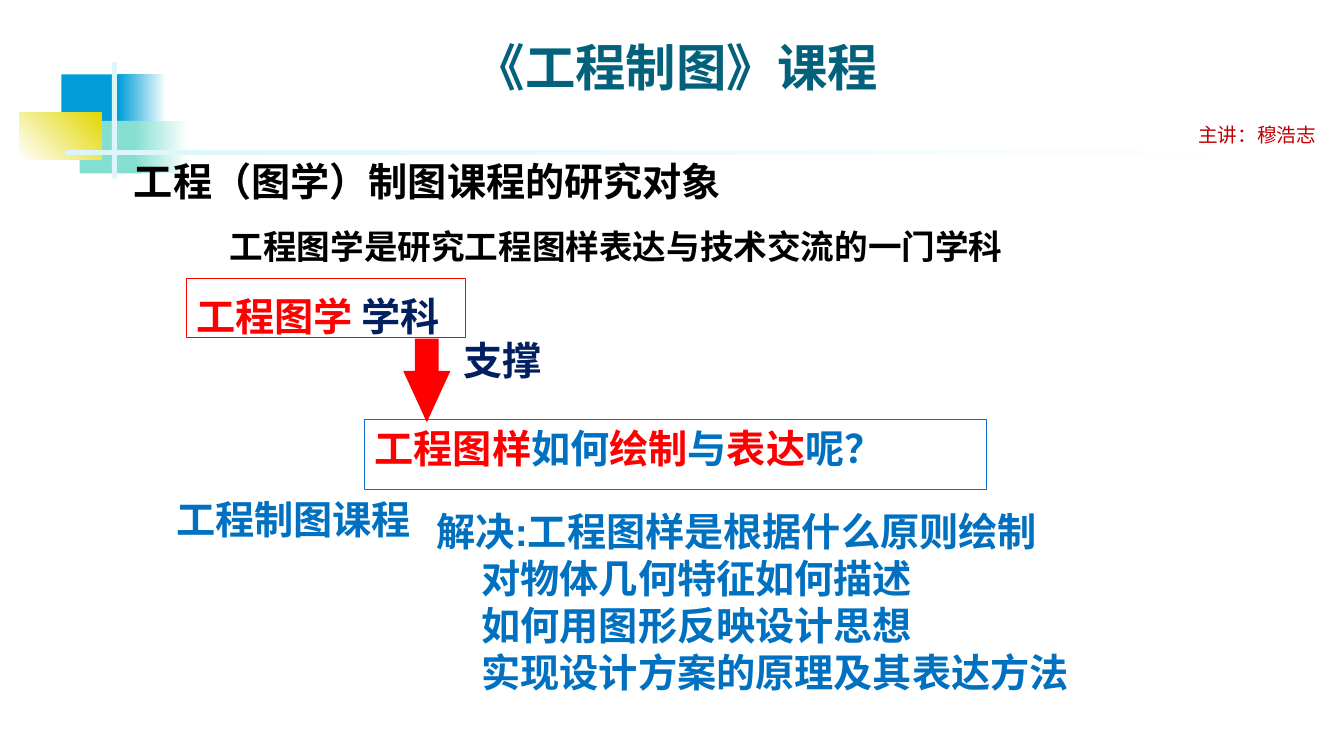
from lxml import etree
from pptx import Presentation
from pptx.dml.color import RGBColor
from pptx.enum.shapes import MSO_SHAPE
from pptx.enum.text import MSO_ANCHOR, PP_ALIGN
from pptx.oxml.ns import qn
from pptx.util import Pt

RECT = MSO_SHAPE.RECTANGLE
DOWN_ARROW = MSO_SHAPE.DOWN_ARROW
TOP, MIDDLE = MSO_ANCHOR.TOP, MSO_ANCHOR.MIDDLE
LEFT, CENTER, JUSTIFY = PP_ALIGN.LEFT, PP_ALIGN.CENTER, PP_ALIGN.JUSTIFY
CJK = "Noto Sans CJK SC"

COLORS = {
    "sky": "009DD9", "mint": "85DFD0", "yellow": "E2D700", "ice": "DBF5F9",
    "white": "FFFFFF", "black": "000000", "teal": "04617B", "crimson": "C00000",
    "red": "FF0000", "blue": "0070C0", "navy": "002060", "edge": "0F6FC6",
}


def rgb(name):
    return RGBColor.from_string(COLORS[name])


def add_shape(s, box, kind=RECT, fill=None, line=None, angle=0):
    sp = s.shapes.add_shape(kind, *map(Pt, box))
    sp.shadow.inherit = False
    if fill is None:
        sp.fill.background()
    elif isinstance(fill, tuple):
        sp.fill.gradient()
        sp.fill.gradient_angle = angle
        for stop, color in zip(sp.fill.gradient_stops, fill):
            stop.color.rgb = rgb(color)
    else:
        sp.fill.solid()
        sp.fill.fore_color.rgb = rgb(fill)
    if line:
        sp.line.color.rgb = rgb(line)
        sp.line.width = Pt(0.75)
    else:
        sp.line.fill.background()
    return sp


def write(sp, paragraphs, size=28, font=CJK, bold=True, align=LEFT,
          anchor=TOP, wrap=True, spacing=None, indents=()):
    tf = sp.text_frame
    tf.word_wrap = wrap
    tf.vertical_anchor = anchor
    for i, runs in enumerate(paragraphs):
        p = tf.paragraphs[0] if i == 0 else tf.add_paragraph()
        for key, value in {"alignment": align, "line_spacing": spacing}.items():
            setattr(p, key, value)
        if indents:
            p._p.get_or_add_pPr().set("marL", str(Pt(indents[i])))
        for text, color in runs:
            r = p.add_run()
            r.text = text
            for key, value in {"size": Pt(size), "bold": bold, "name": font}.items():
                setattr(r.font, key, value)
            r.font.color.rgb = rgb(color)
            etree.SubElement(r._r.get_or_add_rPr(), qn("a:ea"), typeface=CJK)


def add_text(s, box, paragraphs, **fmt):
    write(s.shapes.add_textbox(*map(Pt, box)), paragraphs, **fmt)


def add_ornament(s, x, y):
    blocks = [
        ((30.2, 8.6, 46, 37.4), "sky", 0),
        ((70.6, 8.6, 34.6, 37.4), ("sky", "white"), 0),
        ((43.2, 41.8, 44.6, 37.4), "mint", 0),
        ((82.1, 41.8, 38.9, 37.4), ("mint", "white"), 0),
        ((0, 36, 59, 33.1), ("white", "yellow"), 45),
        ((66.2, 0, 3.6, 82.8), "ice", 0),
        ((33.1, 62.6, 864, 3.6), ("ice", "white"), 0),
    ]
    for (dx, dy, w, h), fill, angle in blocks:
        add_shape(s, (x + dx, y + dy, w, h), fill=fill, angle=angle)


def add_header(s, x, y):
    add_text(s, (x + 582.5, y + 62.6, 105.8, 24.5), [[("主讲：穆浩志", "crimson")]],
             size=14, bold=False)
    add_text(s, (x, y, 433.4, 51.1), [[("《工程制图》课程", "teal")]],
             size=36, align=CENTER, anchor=MIDDLE)


def add_topic(s, x, y):
    add_text(s, (x, y, 527, 41), [[("工程（图学）制图课程的研究对象", "black")]])
    add_text(s, (x + 68.4, y + 49, 635, 36),
             [[("工程图学是研究工程图样表达与技术交流的一门学科", "black")]],
             size=24, font="Times New Roman")


def add_flow(s, x, y):
    add_text(s, (x, y + 151.9, 185.8, 41), [[("工程制图课程", "blue")]], align=JUSTIFY)
    question = add_shape(s, (x + 141.8, y + 100.8, 444.2, 50.4), line="edge")
    write(question, [[("工程图样", "red"), ("如何", "blue"), ("绘制", "red"),
                      ("与", "blue"), ("表达", "red"), ("呢？", "blue")]],
          font="Arial", align=JUSTIFY)
    subject = add_shape(s, (x + 14.4, y, 199.4, 42.5), line="red")
    write(subject, [[("工程图学 ", "red"), ("学科", "navy")]], wrap=False, spacing=1.2)
    add_text(s, (x + 205.2, y + 38.2, 71.3, 41), [[("支撑", "navy")]], wrap=False)
    arrow = add_shape(s, (x + 169.2, y + 43.2, 33.8, 59.8), DOWN_ARROW, "red")
    arrow.adjustments[0], arrow.adjustments[1] = 0.5, 1.09
    answers = ["解决:工程图样是根据什么原则绘制", "对物体几何特征如何描述",
               "如何用图形反映设计思想", "实现设计方案的原理及其表达方法"]
    add_text(s, (x + 180, y + 159.1, 553.7, 143.3), [[(a, "blue")] for a in answers],
             font="Arial", anchor=MIDDLE, indents=(6, 38, 38, 38))


def main():
    prs = Presentation()
    prs.slide_width, prs.slide_height = Pt(960), Pt(540)
    s = prs.slides.add_slide(prs.slide_layouts[6])
    add_ornament(s, 13.7, 44.6)
    add_header(s, 266.4, 21.6)
    add_topic(s, 88.6, 108.7)
    add_flow(s, 118.8, 198.7)
    prs.save("out.pptx")


if __name__ == "__main__":
    main()
